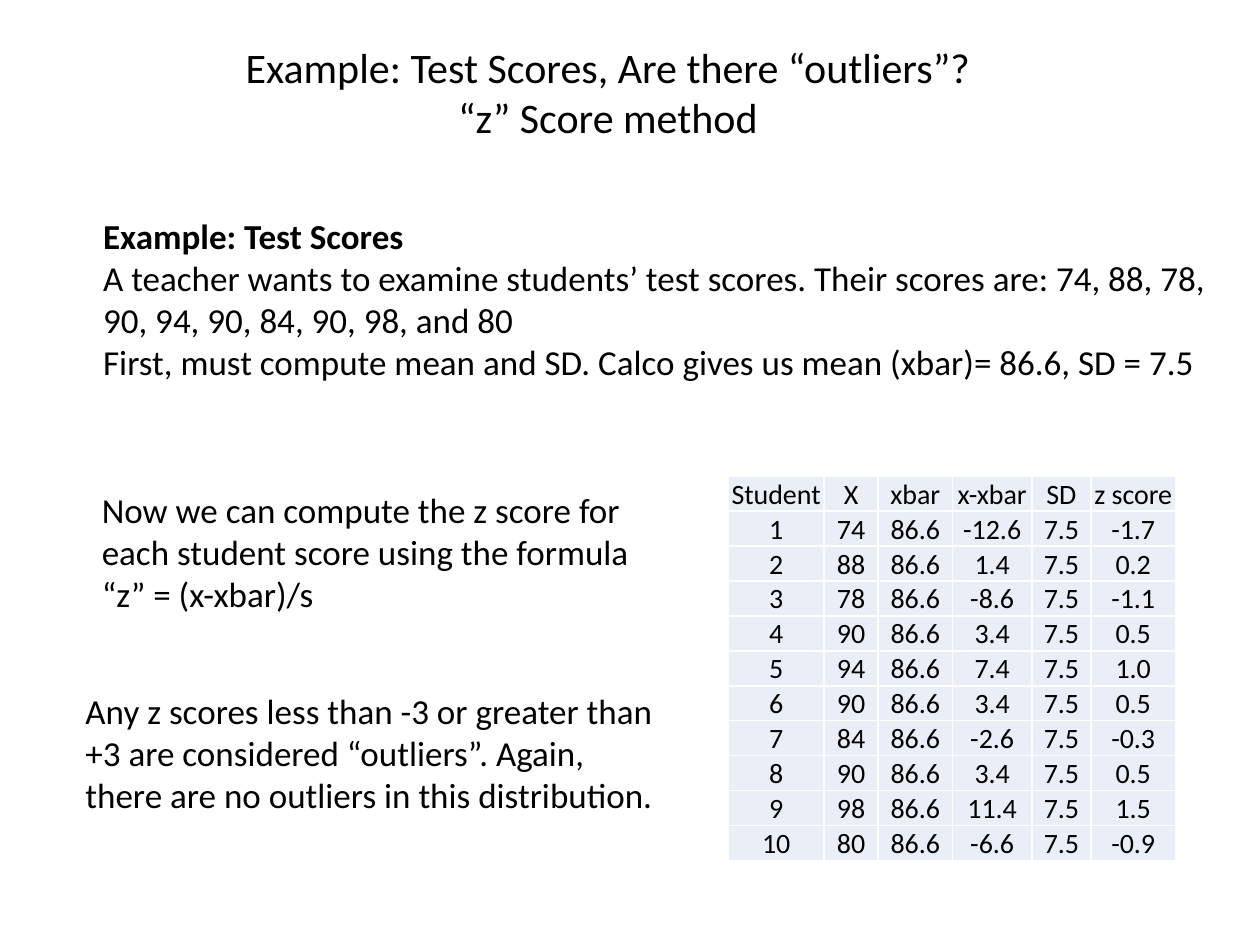
from pptx import Presentation
from pptx.dml.color import RGBColor
from pptx.enum import text as t
from pptx.oxml import parse_xml
from pptx.oxml.ns import nsdecls
from pptx.util import Inches, Pt

THEME = {
    "font": "Calibri", "ink": "000000", "cell": "EAEFF7", "rule": "FFFFFF",
    "title": 24, "body": 20, "table": 16,
}

TITLE = ["Example: Test Scores, Are there “outliers”?", "“z” Score method"]
TITLE_BOX = (1.8, 0.28, 6.05, 0.91)

# (left, top, width, height), paragraphs, number of bold leading paragraphs
PASSAGES = [
    ((0.72, 1.65, 9.12, 1.45), [
        "Example: Test Scores",
        "A teacher wants to examine students’ test scores. Their scores are: "
        "74, 88, 78, 90, 94, 90, 84, 90, 98, and 80",
        "First, must compute mean and SD. Calco gives us mean (xbar)= 86.6, SD = 7.5",
    ], 1),
    ((0.58, 5.42, 4.72, 1.11), [
        "Any z scores less than -3 or greater than +3 are considered “outliers”. "
        "Again, there are no outliers in this distribution.",
    ], 0),
    ((0.71, 3.83, 4.67, 1.11), [
        "Now we can compute the z score for each student score using the formula",
        "“z” = (x-xbar)/s",
    ], 0),
]

SCORES = [74, 88, 78, 90, 94, 90, 84, 90, 98, 80]
MEAN, SD = 86.6, 7.5
HEADINGS = ["Student", "X", "xbar", "x-xbar", "SD", "z score"]
COLUMN_WIDTHS = [0.76, 0.43, 0.59, 0.63, 0.47, 0.67]
TABLE_LEFT, TABLE_TOP, TABLE_HEIGHT = 5.78, 3.78, 3.05


def score_rows():
    rows = [HEADINGS]
    for student, score in enumerate(SCORES, 1):
        gap = score - MEAN
        rows.append([str(student), str(score), str(MEAN), f"{gap:.1f}",
                     str(SD), f"{gap / SD:.1f}"])
    return rows


def write(frame, paragraphs, size, align=t.PP_ALIGN.LEFT,
          anchor=t.MSO_ANCHOR.TOP, bold_count=0):
    frame.vertical_anchor = anchor
    for i, words in enumerate(paragraphs):
        paragraph = frame.paragraphs[0] if i == 0 else frame.add_paragraph()
        paragraph.alignment = align
        run = paragraph.add_run()
        run.text = words
        run.font.name = THEME["font"]
        run.font.size = Pt(size)
        run.font.bold = i < bold_count
        run.font.color.rgb = RGBColor.from_string(THEME["ink"])


def rule_cell(cell):
    """Draw a one-point line on all four sides of a table cell."""
    for position, side in enumerate(("lnL", "lnR", "lnT", "lnB")):
        line = parse_xml(
            f'<a:{side} {nsdecls("a")} w="{Pt(1)}"><a:solidFill>'
            f'<a:srgbClr val="{THEME["rule"]}"/></a:solidFill></a:{side}>')
        cell._tc.get_or_add_tcPr().insert(position, line)


def add_score_table(slide):
    rows = score_rows()
    table = slide.shapes.add_table(
        len(rows), len(HEADINGS), Inches(TABLE_LEFT), Inches(TABLE_TOP),
        Inches(sum(COLUMN_WIDTHS)), Inches(TABLE_HEIGHT)).table
    table.horz_banding = False
    table.first_row = False
    for column, width in zip(table.columns, COLUMN_WIDTHS):
        column.width = Inches(width)
    for r, values in enumerate(rows):
        for c, value in enumerate(values):
            cell = table.cell(r, c)
            cell.margin_left = cell.margin_right = cell.margin_top = Inches(0.01)
            cell.margin_bottom = 0
            cell.vertical_anchor = t.MSO_ANCHOR.MIDDLE
            cell.fill.solid()
            cell.fill.fore_color.rgb = RGBColor.from_string(THEME["cell"])
            rule_cell(cell)
            write(cell.text_frame, [value], THEME["table"], t.PP_ALIGN.CENTER,
                  t.MSO_ANCHOR.MIDDLE)


def main():
    deck = Presentation()
    deck.slide_width, deck.slide_height = Inches(10), Inches(7.5)
    slide = deck.slides.add_slide(deck.slide_layouts[5])

    title = slide.shapes.title
    title.left, title.top, title.width, title.height = map(Inches, TITLE_BOX)
    title.text_frame.word_wrap = False
    title.text_frame.auto_size = t.MSO_AUTO_SIZE.NONE
    write(title.text_frame, TITLE, THEME["title"], t.PP_ALIGN.CENTER)

    for box, paragraphs, bold_count in PASSAGES:
        passage = slide.shapes.add_textbox(*map(Inches, box)).text_frame
        passage.word_wrap = True
        passage.auto_size = t.MSO_AUTO_SIZE.SHAPE_TO_FIT_TEXT
        write(passage, paragraphs, THEME["body"], bold_count=bold_count)

    add_score_table(slide)
    deck.save("out.pptx")


if __name__ == "__main__":
    main()
